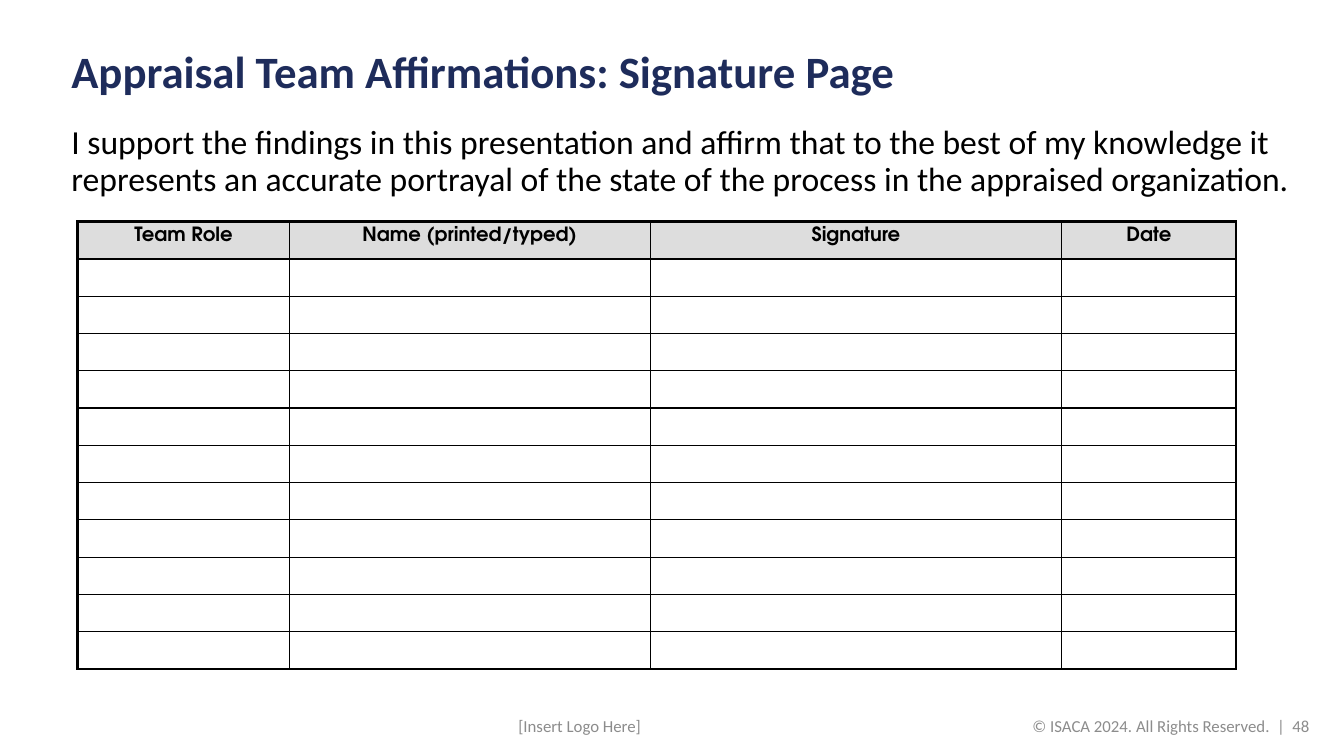
from dataclasses import dataclass

from lxml import etree
from pptx import Presentation
from pptx.dml.color import RGBColor
from pptx.enum import text
from pptx.oxml import ns
from pptx.util import Inches, Pt


@dataclass(frozen=True)
class Theme:
    navy: str = "1E2C5B"
    black: str = "000000"
    gray: str = "8C8C8C"
    header_fill: str = "DDDDDD"
    font: str = "Calibri"
    table_font: str = "TeX Gyre Adventor"
    title: int = 32
    body: int = 24
    header: int = 14
    footer: int = 12
    outer_border: float = 2.25
    inner_border: float = 1


THEME = Theme()
ALIGN = text.PP_ALIGN
ANCHOR = text.MSO_ANCHOR
HEADERS = ("Team Role", "Name (printed/typed)", "Signature", "Date")
COLUMN_WIDTHS = (2.1, 3.58, 4.08, 1.73)
ROW_COUNT = 12
ROW_HEIGHT = 0.37


def write_text(tf, content, *, size, color=THEME.black, font=THEME.font,
               bold=False, align=ALIGN.LEFT, spacing=None):
    p = tf.paragraphs[0]
    p.alignment = align
    p.line_spacing = spacing
    r = p.add_run()
    r.text = content
    r.font.name = font
    r.font.size = Pt(size)
    r.font.bold = bold
    r.font.color.rgb = RGBColor.from_string(color)


def add_text(s, content, left, top, width, height, *, anchor=ANCHOR.MIDDLE, **style):
    sp = s.shapes.add_textbox(Inches(left), Inches(top), Inches(width), Inches(height))
    tf = sp.text_frame
    tf.word_wrap = True
    tf.vertical_anchor = anchor
    write_text(tf, content, **style)


def set_borders(cell, widths):
    tc_pr = cell._tc.get_or_add_tcPr()
    for side, width in widths.items():
        ln = etree.SubElement(tc_pr, ns.qn(f"a:ln{side}"), w=str(Pt(width)))
        fill = etree.SubElement(ln, ns.qn("a:solidFill"))
        etree.SubElement(fill, ns.qn("a:srgbClr"), val=THEME.black)


def add_signature_table(s, left, top):
    last_row, last_col = ROW_COUNT - 1, len(HEADERS) - 1
    table = s.shapes.add_table(
        ROW_COUNT, len(HEADERS), Inches(left), Inches(top),
        Inches(sum(COLUMN_WIDTHS)), Inches(ROW_COUNT * ROW_HEIGHT)).table
    table.first_row = False
    table.horz_banding = False
    for column, width in zip(table.columns, COLUMN_WIDTHS):
        column.width = Inches(width)
    for i, row in enumerate(table.rows):
        row.height = Inches(ROW_HEIGHT)
        for j, cell in enumerate(row.cells):
            edges = {"L": j == 0, "R": j == last_col, "T": i == 0, "B": i == last_row}
            set_borders(cell, {side: THEME.outer_border if outer else THEME.inner_border
                               for side, outer in edges.items()})
            cell.margin_left = cell.margin_right = Inches(0.13)
            cell.margin_top = cell.margin_bottom = Inches(0.05 if i == 0 else 0)
            if i == 0:
                cell.fill.solid()
                cell.fill.fore_color.rgb = RGBColor.from_string(THEME.header_fill)
                write_text(cell.text_frame, HEADERS[j], size=THEME.header,
                           font=THEME.table_font, bold=True, align=ALIGN.CENTER)
            else:
                cell.fill.background()


def main():
    prs = Presentation()
    prs.slide_width, prs.slide_height = Inches(13.33), Inches(7.5)
    s = prs.slides.add_slide(prs.slide_layouts[6])
    add_text(s, "© ISACA 2024. All Rights Reserved.  |  48", 9, 7, 4.09, 0.4,
             size=THEME.footer, color=THEME.gray, align=ALIGN.RIGHT)
    add_text(s, "[Insert Logo Here]", 4.51, 7, 2.48, 0.4,
             size=THEME.footer, color=THEME.gray, align=ALIGN.CENTER)
    add_text(s, "Appraisal Team Affirmations: Signature Page", 0.61, 0.4, 11.5, 0.66,
             size=THEME.title, color=THEME.navy, bold=True, spacing=0.9)
    add_signature_table(s, 0.77, 2.2)
    add_text(s, "I support the findings in this presentation and affirm that to the best "
             "of my knowledge it represents an accurate portrayal of the state of the "
             "process in the appraised organization.", 0.61, 1.2, 12.42, 0.62,
             size=THEME.body, spacing=0.9, anchor=ANCHOR.TOP)
    prs.save("out.pptx")


if __name__ == "__main__":
    main()
